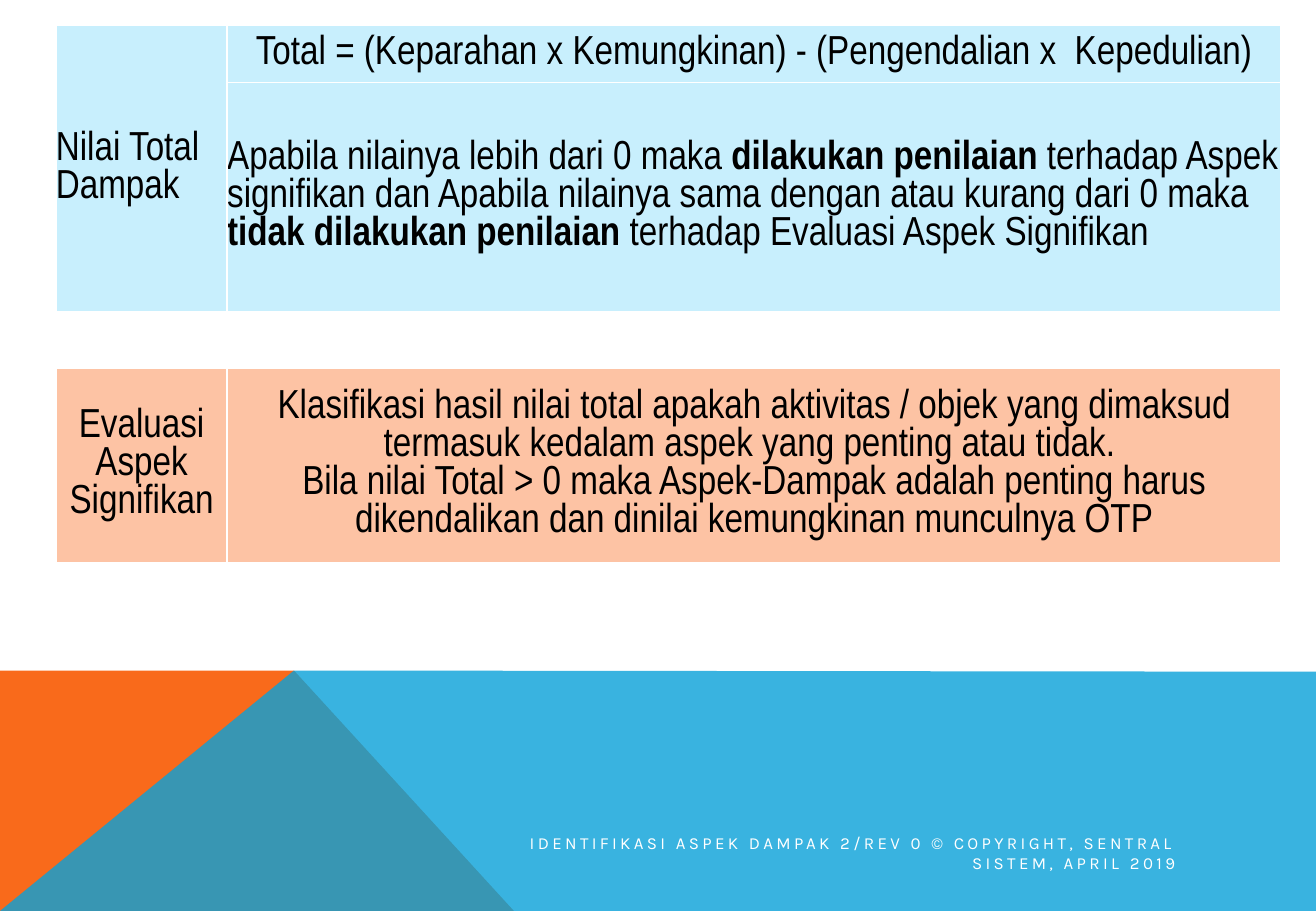
from lxml import etree
from pptx import Presentation
from pptx.dml.color import RGBColor
from pptx.enum.text import MSO_ANCHOR, PP_ALIGN
from pptx.oxml.ns import qn
from pptx.util import Inches, Pt

BLACK = RGBColor(0x00, 0x00, 0x00)
WHITE = RGBColor(0xFF, 0xFF, 0xFF)
ORANGE = RGBColor(0xF9, 0x6A, 0x1B)
BLUE = RGBColor(0x08, 0xA1, 0xD9)
PALE_BLUE = RGBColor(0xC8, 0xEF, 0xFD)
PALE_ORANGE = RGBColor(0xFD, 0xC3, 0xA4)

SLIDE_W, SLIDE_H = 10.83, 7.5
TABLE_LEFT = 0.46
COL_WIDTHS = [1.41, 8.67]


def add_polygon(slide, points, color, alpha=None):
    points = [(Inches(x), Inches(y)) for x, y in points]
    builder = slide.shapes.build_freeform(*points[0])
    builder.add_line_segments(points[1:], close=True)
    sp = builder.convert_to_shape()
    sp.shadow.inherit = False
    sp.fill.solid()
    sp.fill.fore_color.rgb = color
    sp.line.fill.background()
    if alpha is not None:
        clr = sp.fill._xPr.find(qn("a:solidFill"))[0]
        etree.SubElement(clr, qn("a:alpha")).set("val", str(alpha * 1000))


def add_footer_band(slide, left, top, width, height):
    right, bottom = left + width, top + height
    peak = (left + 2.42, top)
    add_polygon(slide, [(left, bottom), (left, top), peak, (left + 4.23, bottom)], ORANGE)
    add_polygon(slide, [(left, bottom), peak, (right, top + 0.01), (right, bottom)], BLUE, 80)

    box = slide.shapes.add_textbox(
        Inches(left + 4.17), Inches(top + 1.35), Inches(5.6), Inches(0.3))
    tf = box.text_frame
    tf.word_wrap = True
    tf.vertical_anchor = MSO_ANCHOR.MIDDLE
    p = tf.paragraphs[0]
    p.text = "IDENTIFIKASI ASPEK DAMPAK 2/REV 0 © COPYRIGHT, SENTRAL SISTEM, APRIL 2019"
    p.alignment = PP_ALIGN.RIGHT
    r = p.runs[0]
    r.font.size = Pt(10)
    r.font.name = "Karla"
    r.font.color.rgb = WHITE
    r.font._element.set("spc", "200")


def add_table(slide, left, top, row_heights, color):
    table = slide.shapes.add_table(
        len(row_heights), len(COL_WIDTHS), Inches(left), Inches(top),
        Inches(sum(COL_WIDTHS)), Inches(sum(row_heights))).table
    table.first_row = False
    table.horz_banding = False
    for column, width in zip(table.columns, COL_WIDTHS):
        column.width = Inches(width)
    for row, height in zip(table.rows, row_heights):
        row.height = Inches(height)
    for cell in table.iter_cells():
        cell.fill.solid()
        cell.fill.fore_color.rgb = color
        cell.vertical_anchor = MSO_ANCHOR.MIDDLE
        cell.margin_left = cell.margin_right = 0
        cell.margin_top = cell.margin_bottom = 0
    return table


def write_cell(cell, parts, align):
    p = cell.text_frame.paragraphs[0]
    p.text = parts[0]
    p.alignment = align
    for part in parts[1:]:
        p.add_run().text = part
    for i, r in enumerate(p.runs):
        r.font.size = Pt(24)
        r.font.name = "Arial Narrow"
        r.font.color.rgb = BLACK
        r.font.bold = len(parts) > 1 and i % 2 == 1


def add_total_table(slide, left, top):
    table = add_table(slide, left, top, [0.47, 1.89], PALE_BLUE)
    table.cell(0, 0).merge(table.cell(1, 0))
    write_cell(table.cell(0, 0), ["Nilai Total Dampak"], PP_ALIGN.LEFT)
    write_cell(
        table.cell(0, 1),
        ["Total = (Keparahan x Kemungkinan) - (Pengendalian x  Kepedulian)"],
        PP_ALIGN.CENTER)
    write_cell(table.cell(1, 1), [
        "Apabila nilainya lebih dari 0 maka ",
        "dilakukan penilaian",
        " terhadap Aspek signifikan dan Apabila nilainya sama dengan atau kurang dari 0 maka ",
        "tidak dilakukan penilaian",
        " terhadap Evaluasi Aspek Signifikan",
    ], PP_ALIGN.LEFT)


def add_evaluation_table(slide, left, top):
    table = add_table(slide, left, top, [0.27], PALE_ORANGE)
    write_cell(table.cell(0, 0), ["Evaluasi Aspek Signifikan"], PP_ALIGN.CENTER)
    write_cell(table.cell(0, 1), [
        "Klasifikasi hasil nilai total apakah aktivitas / objek yang dimaksud "
        "termasuk kedalam aspek yang penting atau tidak. \v"
        "Bila nilai Total > 0 maka Aspek-Dampak adalah penting harus "
        "dikendalikan dan dinilai kemungkinan munculnya OTP",
    ], PP_ALIGN.CENTER)


def main():
    prs = Presentation()
    prs.slide_width = Inches(SLIDE_W)
    prs.slide_height = Inches(SLIDE_H)
    slide = prs.slides.add_slide(prs.slide_layouts[6])
    add_footer_band(slide, 0, 5.52, SLIDE_W, SLIDE_H - 5.52)
    add_total_table(slide, TABLE_LEFT, 0.21)
    add_evaluation_table(slide, TABLE_LEFT, 3.03)
    prs.save("out.pptx")


if __name__ == "__main__":
    main()
